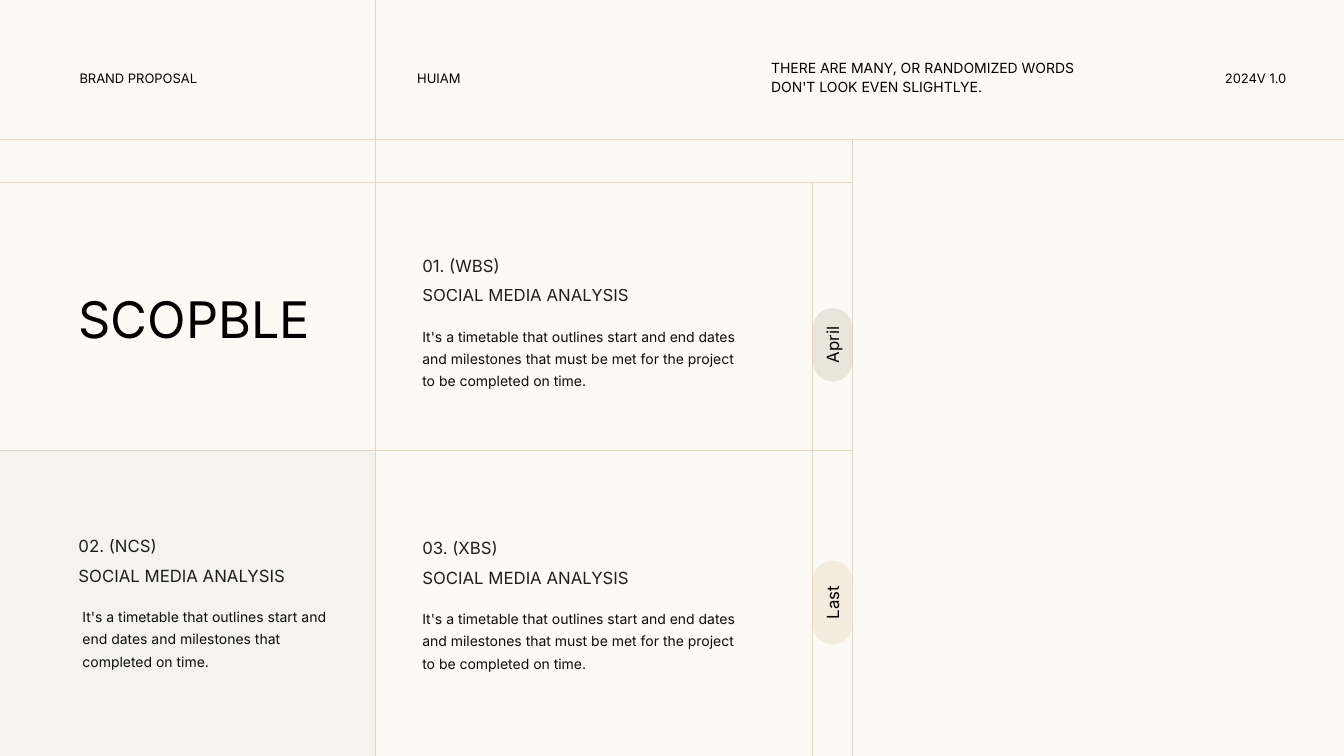
from dataclasses import dataclass, field

from lxml.etree import SubElement
from pptx import Presentation
from pptx.dml.color import RGBColor
from pptx.enum.shapes import MSO_CONNECTOR as Connector, MSO_SHAPE as Shape
from pptx.enum.text import MSO_AUTO_SIZE as AutoSize, PP_ALIGN as Align
from pptx.oxml.ns import qn
from pptx.util import Inches, Pt

WIDTH, HEIGHT = Inches(13.33), Inches(7.5)
COLUMNS = {"start": 0, "main": 27.9, "tags": 60.45, "side": 63.45, "end": 100}
ROWS = {"top": 0, "header": 18.4, "body": 24.13, "lower": 59.6, "bottom": 100}


@dataclass(frozen=True)
class Theme:
    paper: str = "FDFAF5"
    panel: str = "EDEDE5"
    rule: str = "E7D6BC"
    april: str = "C6B7A4"
    last: str = "F3EBDE"
    font: str = "Inter"
    rule_width: float = 0.5
    text: dict = field(default_factory=lambda: {
        "label": {"size": 16, "color": "000000", "baseline": 30},
        "note": {"size": 10, "color": "000000", "leading": 13},
        "title": {"size": 36, "color": "000000", "leading": 55},
        "heading": {"size": 12, "color": "000000", "alpha": 88},
        "copy": {"size": 10, "color": "0D0D0D", "leading": 16},
        "tag": {"size": 12, "color": "000000"},
    })


THEME = Theme()


def across(share):
    return round(WIDTH * share / 100)


def down(share):
    return round(HEIGHT * share / 100)


def place(left, top, width, height):
    return across(left), down(top), across(width), down(height)


def apply_format(target, values):
    for name, value in values.items():
        setattr(target, name, value)


def set_alpha(fill_owner, percent):
    color = next(fill_owner.iter(qn("a:srgbClr")))
    SubElement(color, qn("a:alpha")).set("val", str(percent * 1000))


def add_filled(page, kind, area, color, alpha=100):
    box = page.shapes.add_shape(kind, *place(*area))
    box.shadow.inherit = False
    box.fill.solid()
    box.fill.fore_color.rgb = RGBColor.from_string(color)
    box.line.fill.background()
    if alpha < 100:
        set_alpha(box.fill._xPr, alpha)
    return box


def add_rule(page, x1, y1, x2, y2):
    rule = page.shapes.add_connector(
        Connector.STRAIGHT, across(COLUMNS[x1]), down(ROWS[y1]),
        across(COLUMNS[x2]), down(ROWS[y2]))
    rule.line.color.rgb = RGBColor.from_string(THEME.rule)
    rule.line.width = Pt(THEME.rule_width)
    SubElement(rule._element.spPr, qn("a:effectLst"))


def add_text(page, words, role, area, align=Align.LEFT):
    look = THEME.text[role]
    box = page.shapes.add_textbox(*place(*area))
    apply_format(box.text_frame, {"word_wrap": True, "auto_size": AutoSize.SHAPE_TO_FIT_TEXT})
    para = box.text_frame.paragraphs[0]
    para.alignment = align
    if "leading" in look:
        para.line_spacing = Pt(look["leading"])
    span = para.add_run()
    span.text = words
    apply_format(span.font, {"name": THEME.font, "size": Pt(look["size"])})
    span.font.color.rgb = RGBColor.from_string(look["color"])
    properties = span._r.get_or_add_rPr()
    if "alpha" in look:
        set_alpha(properties, look["alpha"])
    if "baseline" in look:
        properties.set("baseline", str(look["baseline"] * 1000))
    return box


def add_card(page, code, words, left, top, copy_shift=0, copy_width=25.28):
    for index, heading in enumerate((code, "SOCIAL MEDIA ANALYSIS")):
        add_text(page, heading, "heading", (left, top + index * 3.87, 24.53, 4))
    add_text(page, words, "copy", (left + copy_shift, top + 8.8, copy_width, 10))


def add_tag(page, words, middle, length, color, alpha=100):
    center = (COLUMNS["tags"] + COLUMNS["side"]) / 2
    pill = add_filled(page, Shape.ROUNDED_RECTANGLE,
                      (center - length / 2, middle - 2.6, length, 5.2), color, alpha)
    pill.adjustments[0] = 0.5
    label = add_text(page, words, "tag", (center - 2.2, middle - 2, 4.4, 4), Align.CENTER)
    for box in (pill, label):
        box.rotation = 270


def main():
    deck = Presentation()
    apply_format(deck, {"slide_width": WIDTH, "slide_height": HEIGHT})
    page = deck.slides.add_slide(deck.slide_layouts[6])
    page.background.fill.solid()
    page.background.fill.fore_color.rgb = RGBColor.from_string(THEME.paper)

    add_filled(page, Shape.RECTANGLE,
               (0, ROWS["lower"], COLUMNS["main"], 100 - ROWS["lower"]), THEME.panel, 50)
    for row, end in (("header", "end"), ("body", "side"), ("lower", "side")):
        add_rule(page, "start", row, end, row)
    for column, start in (("main", "top"), ("tags", "body"), ("side", "header")):
        add_rule(page, column, start, column, "bottom")

    for words, left, width, align in (
        ("BRAND PROPOSAL", 5.18, 13.73, Align.LEFT),
        ("HUIAM", 30.3, 13.73, Align.LEFT),
        ("2024V 1.0", 88.65, 7.8, Align.RIGHT),
    ):
        add_text(page, words, "label", (left, 8.27, width, 3.73), align)
    add_text(page, "THERE ARE MANY, OR RANDOMIZED WORDS DON'T LOOK EVEN SLIGHTLYE.",
             "note", (56.63, 7.07, 25.35, 6))
    add_text(page, "SCOPBLE", "title", (0.97, 35.33, 27, 10.67), Align.CENTER)

    intro = "It's a timetable that outlines start and end dates and milestones that "
    full = intro + "must be met for the project to be completed on time."
    add_card(page, "01. (WBS)", full, 30.68, 33.2)
    add_card(page, "02. (NCS)", intro + "completed on time.", 5.1, 70.27, 0.3, 19.8)
    add_card(page, "03. (XBS)", full, 30.68, 70.53)

    add_tag(page, "April", 45.6, 5.48, THEME.april, 32)
    add_tag(page, "Last", 79.7, 6.23, THEME.last)
    deck.save("out.pptx")


if __name__ == "__main__":
    main()
